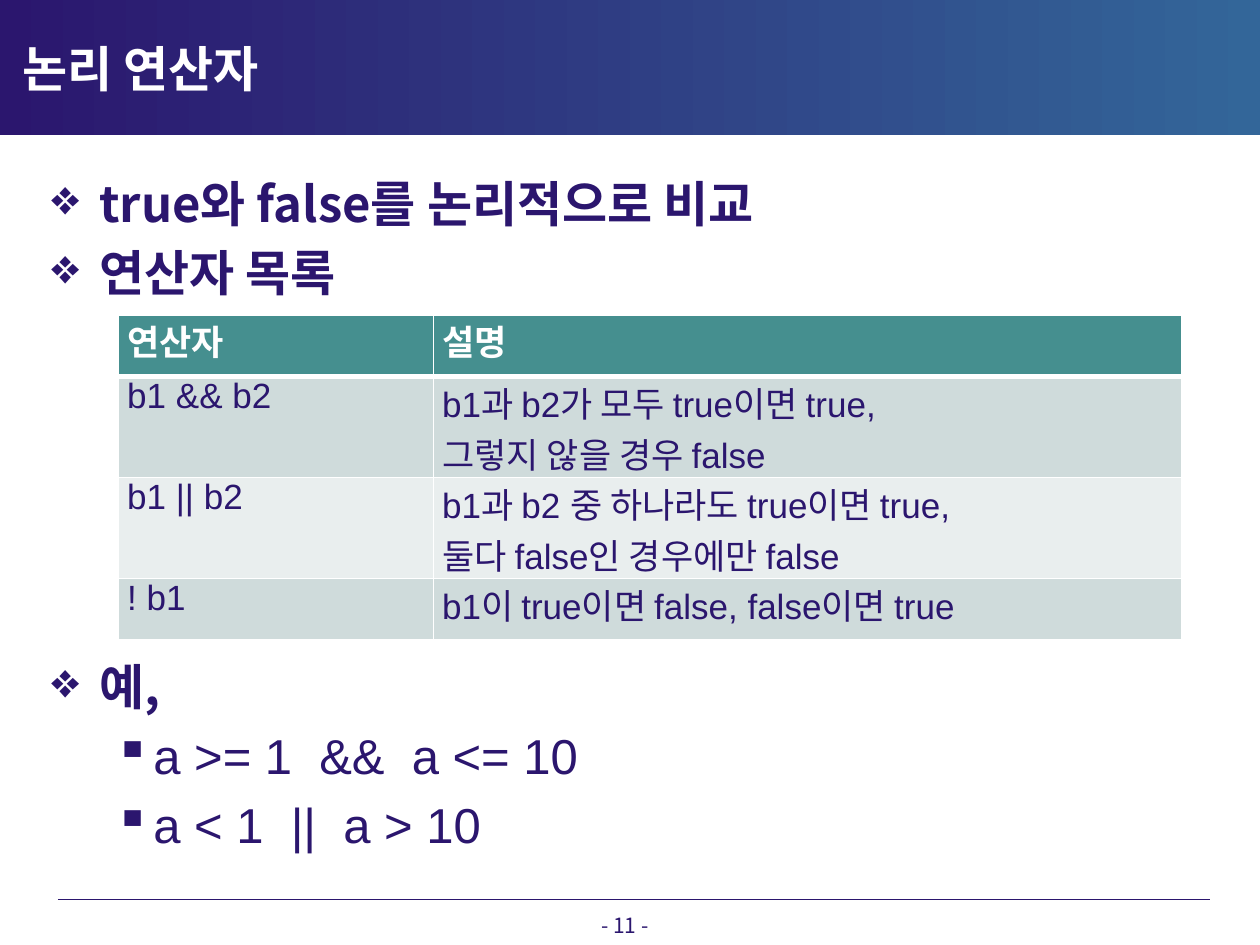
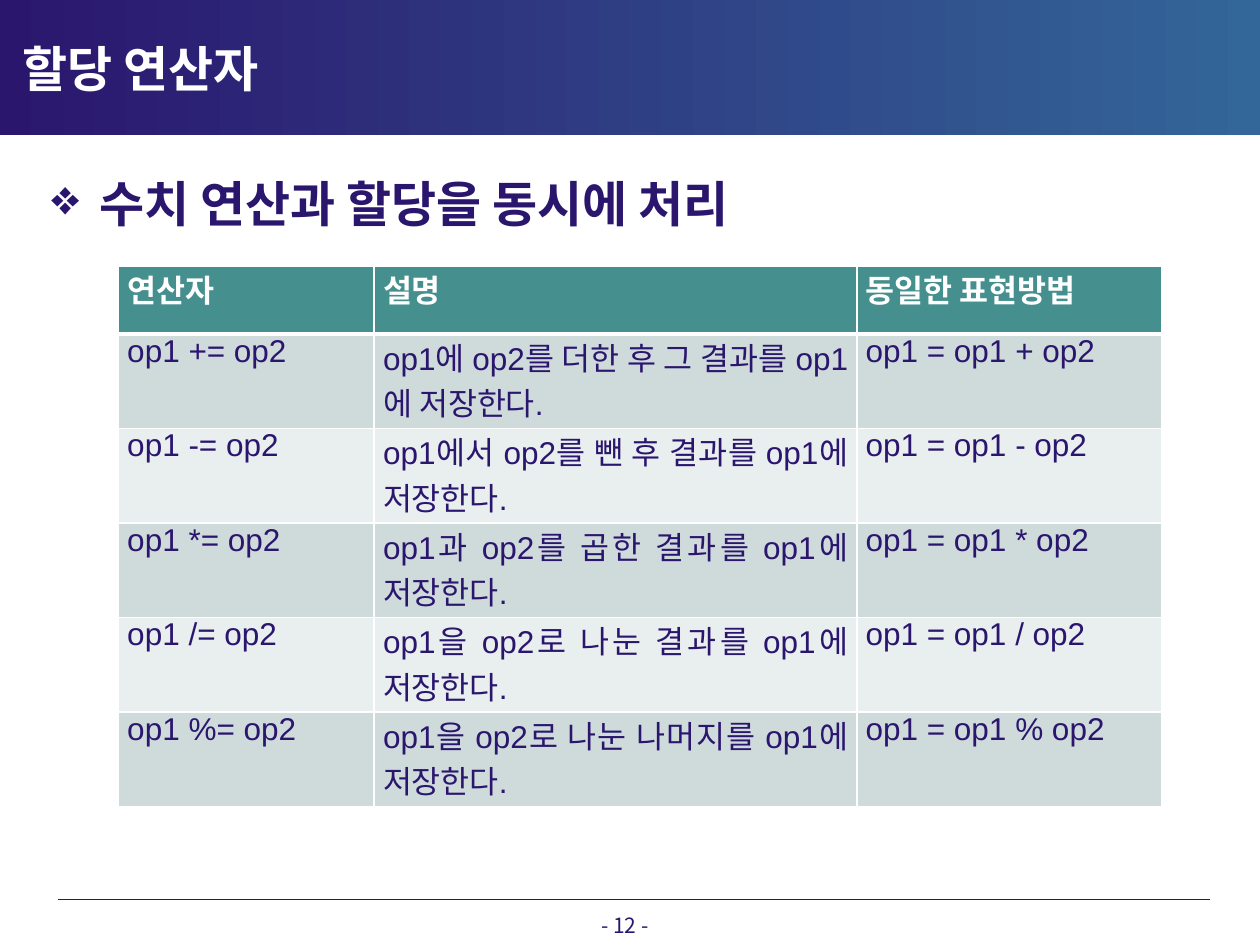
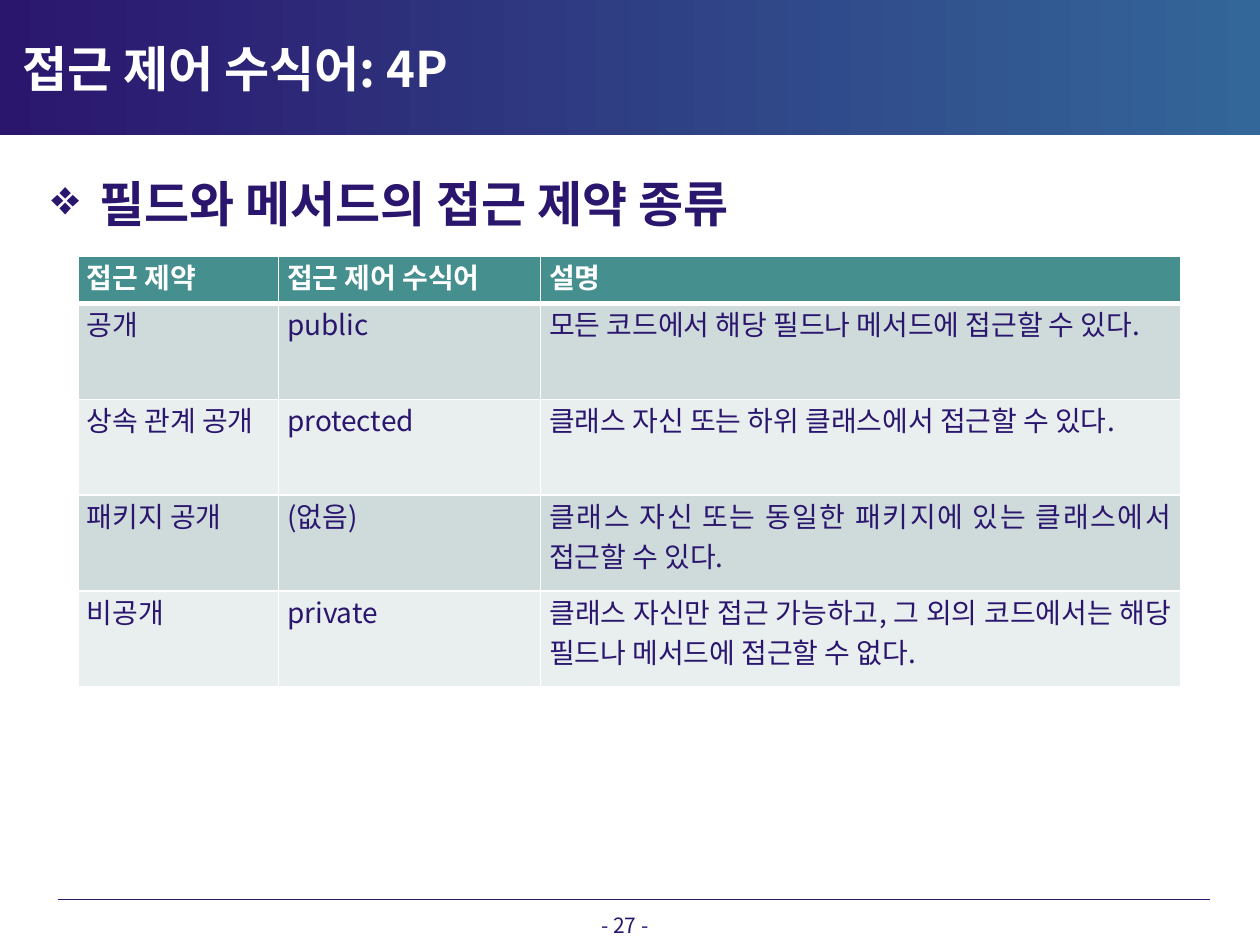
from lxml import etree
from pptx import Presentation, util as u
from pptx.dml.color import RGBColor
from pptx.enum import shapes, text
from pptx.oxml.ns import qn

NAVY = RGBColor(0x2B, 0x16, 0x6E)
BLUE = RGBColor(0x33, 0x66, 0x99)
TEAL = RGBColor(0x45, 0x8F, 0x8F)
STRIPES = [RGBColor(0xCF, 0xDB, 0xDB), RGBColor(0xE9, 0xEE, 0xEE)]
WHITE = RGBColor(0xFF, 0xFF, 0xFF)
HANGUL, LATIN = "Noto Sans CJK KR", "Arial"

# Bullet by level: character, left indent, hanging indent
BULLETS = [("❖", 0.38, 0.38), ("▪", 0.81, 0.31)]
LINE_PITCH = 39.4

# Points are (level, wording, space before)
SLIDES = [
    {
        "number": 11,
        "title": "논리 연산자",
        "points": [
            (0, "true와 false를 논리적으로 비교", 0),
            (0, "연산자 목록", 0),
            (0, "예,", 5 * LINE_PITCH),
            (1, "a >= 1  &&  a <= 10", 0),
            (1, "a < 1  ||  a > 10", 0),
        ],
        "corner": (0.94, 2.5), "columns": [2.5, 5.94],
        "heights": [0.49, 0.8, 0.8, 0.49], "size": 20, "font": LATIN,
        "rows": [
            ("연산자", "설명"),
            ("b1 && b2", "b1과 b2가 모두 true이면 true,\n그렇지 않을 경우 false"),
            ("b1 || b2", "b1과 b2 중 하나라도 true이면 true,\n둘다 false인 경우에만 false"),
            ("! b1", "b1이 true이면 false, false이면 true"),
        ],
    },
    {
        "number": 12,
        "title": "할당 연산자",
        "points": [(0, "수치 연산과 할당을 동시에 처리", 0)],
        "corner": (0.94, 2.11), "columns": [2.03, 3.83, 2.42],
        "heights": [0.54] + [0.75] * 5, "size": 18, "font": LATIN,
        "rows": [
            ("연산자", "설명", "동일한 표현방법"),
            ("op1 += op2", "op1에 op2를 더한 후 그 결과를 op1에 저장한다.", "op1 = op1 + op2"),
            ("op1 -= op2", "op1에서 op2를 뺀 후 결과를 op1에 저장한다.", "op1 = op1 - op2"),
            ("op1 *= op2", "op1과 op2를 곱한 결과를 op1에 저장한다.", "op1 = op1 * op2"),
            ("op1 /= op2", "op1을 op2로 나눈 결과를 op1에 저장한다.", "op1 = op1 / op2"),
            ("op1 %= op2", "op1을 op2로 나눈 나머지를 op1에 저장한다.", "op1 = op1 % op2"),
        ],
    },
    {
        "number": 27,
        "title": "접근 제어 수식어: 4P",
        "points": [(0, "필드와 메서드의 접근 제약 종류", 0)],
        "corner": (0.62, 2.03), "columns": [1.59, 2.08, 5.08],
        "heights": [0.38] + [0.76] * 4, "size": 16, "font": HANGUL,
        "rows": [
            ("접근 제약", "접근 제어 수식어", "설명"),
            ("공개", "public", "모든 코드에서 해당 필드나 메서드에 접근할 수 있다."),
            ("상속 관계 공개", "protected", "클래스 자신 또는 하위 클래스에서 접근할 수 있다."),
            ("패키지 공개", "(없음)",
             "클래스 자신 또는 동일한 패키지에 있는 클래스에서 접근할 수 있다."),
            ("비공개", "private",
             "클래스 자신만 접근 가능하고, 그 외의 코드에서는 해당 필드나 메서드에 접근할 수 없다."),
        ],
    },
]


def style(para, size, color, font, bold, align):
    para.alignment = align
    para.font.size = u.Pt(size)
    para.font.bold = bold
    para.font.color.rgb = color
    para.font.name = font
    defaults = para._p.pPr.find(qn("a:defRPr"))
    etree.SubElement(defaults, qn("a:ea"), typeface=HANGUL)


def add_border(cell, side, points):
    line = etree.SubElement(cell._tc.get_or_add_tcPr(), qn(f"a:ln{side}"), w=str(u.Pt(points)))
    fill = etree.SubElement(line, qn("a:solidFill"))
    etree.SubElement(fill, qn("a:srgbClr"), val=str(WHITE))


deck = Presentation()
deck.slide_width, deck.slide_height = u.Inches(10), u.Inches(7.5)

for content in SLIDES:
    page = deck.slides.add_slide(deck.slide_layouts[5])

    # Footer line
    rule = page.shapes.add_connector(
        shapes.MSO_CONNECTOR.STRAIGHT,
        u.Inches(0.46), u.Inches(7.14), u.Inches(9.6), u.Inches(7.14))
    rule.line.color.rgb = NAVY
    rule.line.width = u.Pt(0.75)
    etree.SubElement(rule._element.spPr, qn("a:effectLst"))

    # Gradient band
    band = page.shapes.add_shape(
        shapes.MSO_SHAPE.RECTANGLE, 0, 0, deck.slide_width, u.Inches(1.07))
    band.shadow.inherit = False
    band.line.fill.background()
    band.fill.gradient()
    band.fill.gradient_angle = 0
    for stop, color, position in zip(band.fill.gradient_stops, (NAVY, BLUE), (0, 1)):
        stop.color.rgb = color
        stop.position = position

    # Page number
    box = page.shapes.add_textbox(u.Inches(3.98), u.Inches(7.19), u.Inches(1.96), u.Inches(0.22))
    box.text_frame.word_wrap = True
    box.text_frame.text = f"- {content['number']} -"
    style(box.text_frame.paragraphs[0], 12, NAVY, HANGUL, False, text.PP_ALIGN.CENTER)

    # Title, in front of the band
    title = page.shapes.title
    page.shapes._spTree.append(title._element)
    title.left, title.top = u.Inches(0.08), u.Inches(0.23)
    title.width, title.height = u.Inches(7.5), u.Inches(0.62)
    title.text_frame.text = content["title"]
    title.text_frame.vertical_anchor = text.MSO_ANCHOR.MIDDLE
    style(title.text_frame.paragraphs[0], 28, WHITE, HANGUL, True, text.PP_ALIGN.LEFT)

    # Bulleted points
    box = page.shapes.add_textbox(u.Inches(0.31), u.Inches(1.25), u.Inches(9.3), u.Inches(5.57))
    box.text_frame.word_wrap = True
    box.text_frame.text = "\n".join(wording for _, wording, _ in content["points"])
    for para, (level, _, gap) in zip(box.text_frame.paragraphs, content["points"]):
        mark, indent, hanging = BULLETS[level]
        para.level = level
        para.line_spacing = u.Pt(LINE_PITCH)
        para.space_before = u.Pt(gap)
        props = para._p.get_or_add_pPr()
        props.set("marL", str(u.Inches(indent)))
        props.set("indent", str(-u.Inches(hanging)))
        bullet_color = etree.SubElement(props, qn("a:buClr"))
        etree.SubElement(bullet_color, qn("a:srgbClr"), val=str(NAVY))
        etree.SubElement(props, qn("a:buChar"), char=mark)
        style(para, 28, NAVY, (HANGUL, LATIN)[level], level == 0, text.PP_ALIGN.LEFT)

    # Table
    rows, columns, heights = content["rows"], content["columns"], content["heights"]
    left, top = content["corner"]
    table = page.shapes.add_table(
        len(rows), len(columns), u.Inches(left), u.Inches(top),
        u.Inches(sum(columns)), u.Inches(sum(heights))).table
    for column, width in zip(table.columns, columns):
        column.width = u.Inches(width)
    for r, wordings in enumerate(rows):
        table.rows[r].height = u.Inches(heights[r])
        header = r == 0
        for c, wording in enumerate(wordings):
            cell = table.cell(r, c)
            cell.margin_left = cell.margin_right = u.Inches(0.07)
            cell.margin_top = cell.margin_bottom = 0
            for side in "LRTB":
                thick = (r, side) in ((0, "B"), (1, "T"))
                add_border(cell, side, 3 if thick else 1)
            cell.fill.solid()
            cell.fill.fore_color.rgb = TEAL if header else STRIPES[(r - 1) % 2]
            cell.text_frame.text = wording
            for para in cell.text_frame.paragraphs:
                style(para, content["size"], WHITE if header else NAVY,
                      content["font"], header, text.PP_ALIGN.JUSTIFY)

deck.save("out.pptx")
